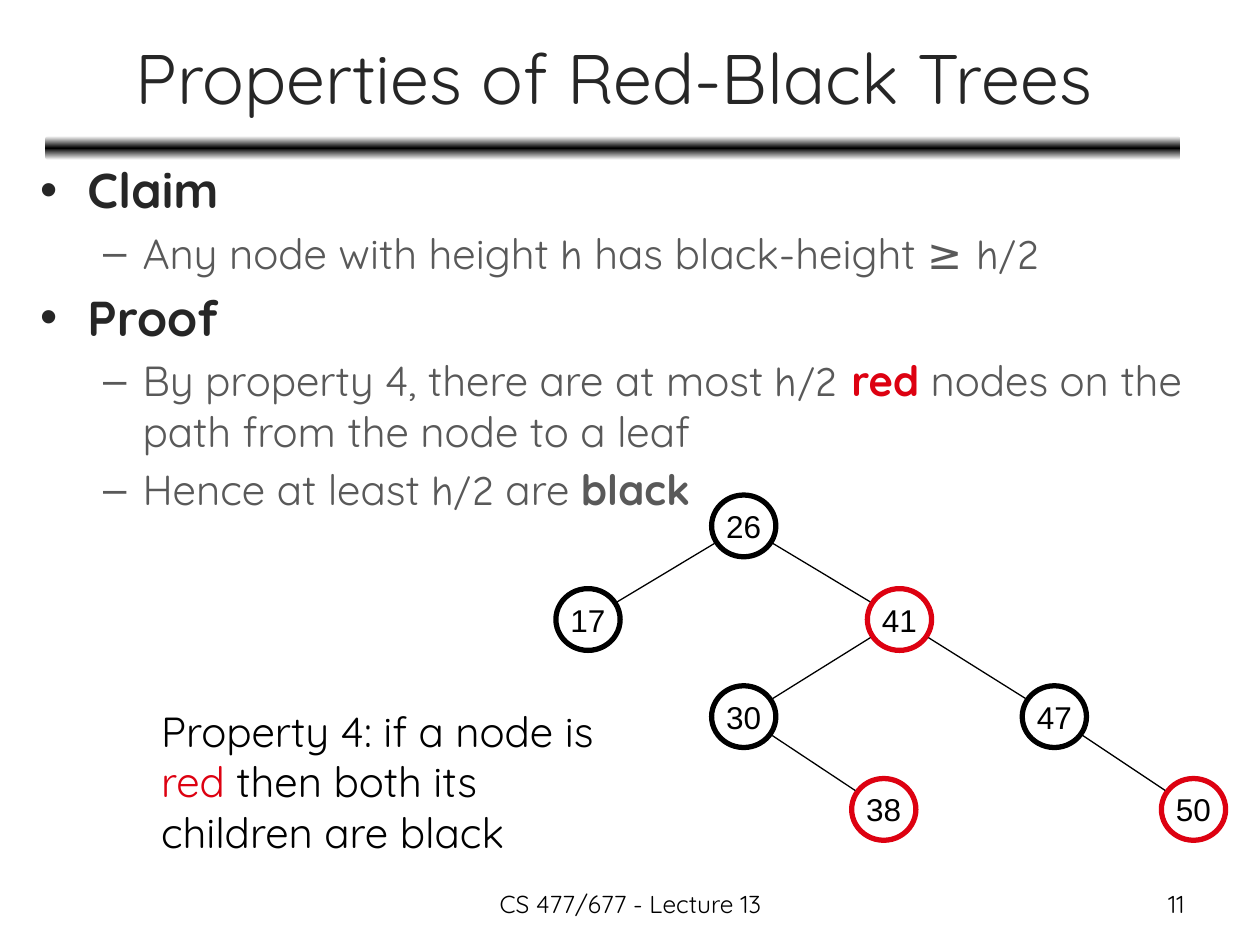
import copy
import math
from dataclasses import dataclass

import pptx
import pptx.util
from lxml import etree
from pptx.dml.color import RGBColor
from pptx.enum.shapes import MSO_CONNECTOR, MSO_SHAPE
from pptx.enum.text import MSO_ANCHOR, MSO_AUTO_SIZE, PP_ALIGN
from pptx.oxml.ns import qn

Pt = pptx.util.Pt


@dataclass(frozen=True)
class Theme:
    black: str = "000000"
    white: str = "FFFFFF"
    red: str = "DD0111"
    dark: str = "262626"
    gray: str = "595959"
    font: str = "Quicksand"
    math: str = "Comic Neue"
    label: str = "Arial"
    title: int = 40
    head: int = 28
    text: int = 24
    node: int = 18
    foot: int = 14


LOOK = Theme()

# Each run: text, then what differs from its paragraph's look
CLAIM = [
    (0, [("Claim", {})]),
    (1, [("Any node with height ", {}), ("h", {"font": LOOK.math}),
         (" has black-height ", {}), ("≥ h/2", {"font": LOOK.math})]),
    (0, [("Proof", {})]),
    (1, [("By property 4, there are at most ", {}),
         ("h/2 ", {"font": LOOK.math}),
         ("red", {"color": LOOK.red, "bold": True}),
         (" nodes on the path from the node to a leaf", {})]),
    (1, [("Hence at least ", {}), ("h/2", {"font": LOOK.math}),
         (" are ", {}), ("black", {"bold": True})]),
]
# Each level: bullet, left margin, hang, run look
LEVELS = [
    ("•", 27, 27, {"size": LOOK.head, "color": LOOK.dark, "bold": True}),
    ("–", 58.5, 22.5, {"size": LOOK.text, "color": LOOK.gray}),
]
RULE = [("Property 4: if a node is ", {}), ("red", {"color": LOOK.red}),
        (" then both its children are black", {})]

# Each node: centre within the tree box, line colour, parent
NODES = {
    26: (107.5, 17.5, LOOK.black, None),
    17: (18.5, 71, LOOK.black, 26),
    41: (196.5, 71, LOOK.red, 26),
    30: (107.5, 126.5, LOOK.black, 41),
    47: (285, 126.5, LOOK.black, 41),
    38: (187.5, 179.5, LOOK.red, 30),
    50: (364.5, 179.5, LOOK.red, 47),
}


def rgb(code):
    return RGBColor.from_string(code)


def add_run(para, text, size, color=LOOK.black, font=LOOK.font, bold=False):
    run = para.add_run()
    run.text = text
    run.font.size = Pt(size)
    run.font.name = font
    run.font.bold = bold
    run.font.color.rgb = rgb(color)


def add_box(slide, box):
    frame = slide.shapes.add_textbox(*map(Pt, box)).text_frame
    frame.word_wrap = True
    return frame


def add_line(slide, box, text, size, align, color=LOOK.black):
    """One line of text, centred in the height of its box."""
    frame = add_box(slide, box)
    frame.vertical_anchor = MSO_ANCHOR.MIDDLE
    para = frame.paragraphs[0]
    para.alignment = align
    add_run(para, text, size, color)


def indent(para, left, hang=0, mark=None):
    props = para._p.get_or_add_pPr()
    props.set("marL", str(Pt(left)))
    props.set("indent", str(-Pt(hang)))
    if mark:
        etree.SubElement(props, qn("a:buFont")).set("typeface", LOOK.label)
        etree.SubElement(props, qn("a:buChar")).set("char", mark)


def add_bar(slide, box):
    bar = slide.shapes.add_shape(MSO_SHAPE.ROUNDED_RECTANGLE, *map(Pt, box))
    bar.shadow.inherit = False
    bar.line.fill.background()
    bar.fill.gradient()
    bar.fill.gradient_angle = 90
    first, last = bar.fill.gradient_stops
    for stop, place in ((first, 0), (last, 1)):
        stop.color.rgb = rgb(LOOK.white)
        stop.position = place
    # Black middle stop
    stops = bar._element.spPr.find(".//" + qn("a:gsLst"))
    mid = copy.deepcopy(stops[0])
    mid.set("pos", "50000")
    mid[0].set("val", LOOK.black)
    stops.insert(1, mid)


def add_claim(slide, box):
    frame = add_box(slide, box)
    for num, (level, runs) in enumerate(CLAIM):
        para = frame.add_paragraph() if num else frame.paragraphs[0]
        mark, left, hang, look = LEVELS[level]
        para.level = level
        para.space_before = Pt(look["size"] * 0.2)
        indent(para, left, hang, mark)
        for text, change in runs:
            add_run(para, text, **{**look, **change})


def add_rule(slide, box):
    frame = add_box(slide, box)
    frame.auto_size = MSO_AUTO_SIZE.SHAPE_TO_FIT_TEXT
    para = frame.paragraphs[0]
    para.level = 1
    para.space_before = Pt(LOOK.text * 0.2)
    indent(para, 36)
    for text, change in RULE:
        add_run(para, text, LOOK.text, **change)


def add_node(slide, box, key, color):
    node = slide.shapes.add_shape(MSO_SHAPE.OVAL, *map(Pt, box))
    node.shadow.inherit = False
    node.fill.background()
    node.line.color.rgb = rgb(color)
    node.line.width = Pt(3)
    frame = node.text_frame
    frame.word_wrap = False
    frame.vertical_anchor = MSO_ANCHOR.MIDDLE
    para = frame.paragraphs[0]
    para.alignment = PP_ALIGN.CENTER
    add_run(para, str(key), LOOK.node, font=LOOK.label)


def add_edge(slide, start, end, gap=19.5):
    """Line between two centres, stopping short of each by the gap."""
    (x1, y1), (x2, y2) = start, end
    span = math.dist(start, end)
    dx, dy = (x2 - x1) * gap / span, (y2 - y1) * gap / span
    ends = (x1 + dx, y1 + dy, x2 - dx, y2 - dy)
    edge = slide.shapes.add_connector(MSO_CONNECTOR.STRAIGHT, *map(Pt, ends))
    edge.line.color.rgb = rgb(LOOK.black)
    edge.line.width = Pt(0.75)
    etree.SubElement(edge._element.spPr, qn("a:effectLst"))


def add_tree(slide, left, top, wide=36.72, high=35.28):
    spots = {key: (left + x, top + y) for key, (x, y, *_) in NODES.items()}
    for key, (*_, color, root) in NODES.items():
        x, y = spots[key]
        add_node(slide, (x - wide / 2, y - high / 2, wide, high), key, color)
        if root:
            add_edge(slide, spots[root], spots[key])


def main():
    deck = pptx.Presentation()
    deck.slide_width, deck.slide_height = Pt(720), Pt(540)
    slide = deck.slides.add_slide(deck.slide_layouts[6])
    # Heading
    add_bar(slide, (25.92, 77.76, 648.72, 13.68))
    add_line(slide, (26.64, 7.92, 648, 71.28),
             "Properties of Red-Black Trees", LOOK.title, PP_ALIGN.CENTER,
             LOOK.dark)
    # Body
    add_claim(slide, (15.84, 87.84, 684.72, 238.32))
    add_tree(slide, 317.5, 283)
    add_rule(slide, (48.96, 399.6, 305.28, 94.32))
    # Footer
    add_line(slide, (246.24, 504, 228.24, 25.2),
             "CS 477/677 - Lecture 13", LOOK.foot, PP_ALIGN.CENTER)
    add_line(slide, (516.24, 504, 167.76, 25.2), "11", LOOK.foot,
             PP_ALIGN.RIGHT)
    deck.save("out.pptx")


if __name__ == "__main__":
    main()
